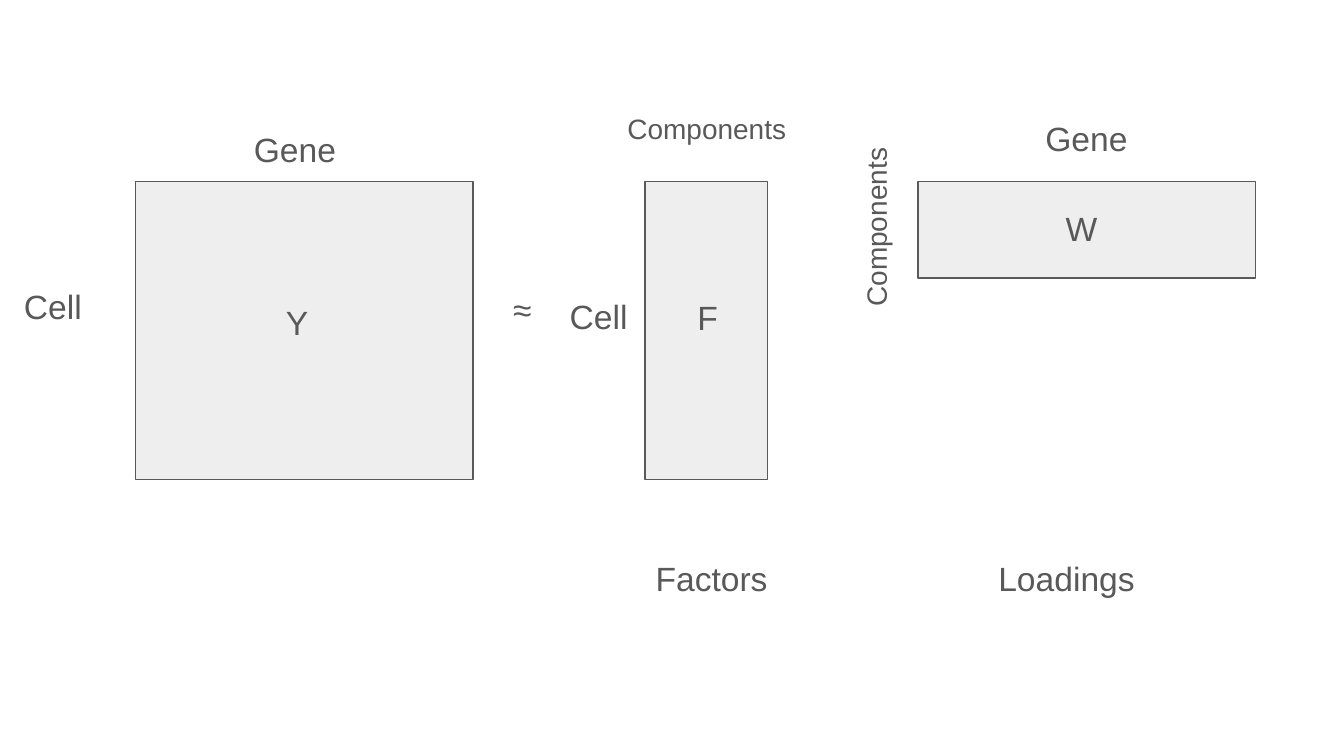
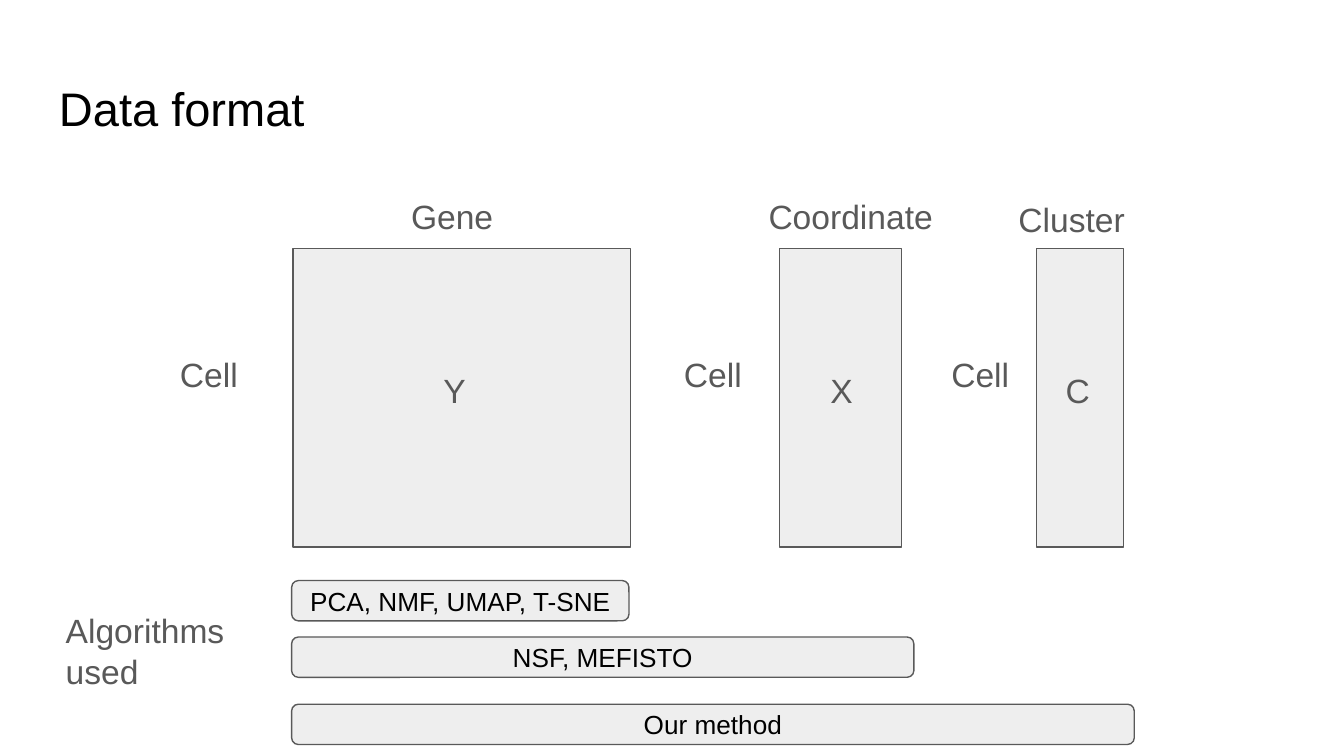
from dataclasses import dataclass

from pptx import Presentation
from pptx.dml.color import RGBColor
from pptx.enum import shapes, text
from pptx.util import Inches, Pt


@dataclass(frozen=True)
class Theme:
    font: str = "Arial"
    fill: RGBColor = RGBColor(0xEE, 0xEE, 0xEE)
    grey: RGBColor = RGBColor(0x59, 0x59, 0x59)
    black: RGBColor = RGBColor(0, 0, 0)
    title: float = 25.2
    label: float = 18
    small: float = 15
    bar: float = 14
    line: float = 0.75
    inset: float = 0.1


THEME = Theme()
SLIDE_W = 10
SLIDE_H = SLIDE_W * 9 / 16
MATRIX_H = 2.22
GENE_W, NARROW_W, CLUSTER_W = 2.51, 0.91, 0.65

# Matrices: left, width, height
FACTOR_TOP = 1.35
FACTOR_MATRICES = [
    (1.01, GENE_W, MATRIX_H),
    (4.8, NARROW_W, MATRIX_H),
    (6.83, GENE_W, 0.72),
]
DATA_TOP = 1.85
DATA_MATRICES = [
    (2.18, GENE_W, MATRIX_H),
    (5.8, NARROW_W, MATRIX_H),
    (7.71, CLUSTER_W, MATRIX_H),
]

# Labels: text, left, top, width, height
FACTOR_LABELS = [
    ("Y", 2.03, 2.15, 0.34, 0.42),
    ("Cell", 0.08, 2.03, 0.81, 0.42),
    ("Gene", 1.79, 0.86, 0.81, 0.42),
    ("≈", 3.72, 2.05, 0.45, 0.52),
    ("Factors", 4.78, 4.05, 1.11, 0.36),
    ("Loadings", 7.33, 4.05, 1.36, 0.36),
    ("F", 5.09, 2.11, 0.45, 0.52),
    ("W", 7.83, 1.45, 0.45, 0.52),
    ("Cell", 4.14, 2.1, 0.81, 0.42),
    ("Gene", 7.68, 0.78, 0.81, 0.42),
]
DATA_LABELS = [
    ("Y", 3.2, 2.65, 0.34, 0.42),
    ("X", 6.08, 2.65, 0.36, 0.49),
    ("C", 7.83, 2.65, 0.36, 0.49),
    ("Cell", 1.24, 2.53, 0.81, 0.42),
    ("Cell", 4.99, 2.53, 0.81, 0.42),
    ("Cell", 6.98, 2.53, 0.81, 0.42),
    ("Gene", 2.96, 1.36, 0.81, 0.42),
    ("Coordinate", 5.62, 1.36, 1.6, 0.42),
    ("Cluster", 7.48, 1.38, 1.04, 0.36),
    ("Algorithms\nused", 0.39, 4.44, 1.51, 0.66),
]

# Components labels: left, top, rotation
COMPONENTS = [(4.57, 0.73, 0), (5.78, 1.35, 270)]

# Algorithm bars: text, top, width
BAR_LEFT, BAR_H = 2.17, 0.3
BARS = [
    ("PCA, NMF, UMAP, T-SNE", 4.32, GENE_W),
    ("NSF, MEFISTO", 4.74, 4.63),
    ("Our method", 5.24, 6.27),
]


def write(sp, content, size, color, align=text.PP_ALIGN.LEFT,
          anchor=text.MSO_ANCHOR.TOP):
    tf = sp.text_frame
    tf.word_wrap = True
    tf.vertical_anchor = anchor
    tf.margin_left = tf.margin_right = Inches(THEME.inset)
    tf.margin_top = tf.margin_bottom = Inches(THEME.inset)
    tf.text = content
    for p in tf.paragraphs:
        p.alignment = align
        for r in p.runs:
            r.font.name = THEME.font
            r.font.size = Pt(size)
            r.font.color.rgb = color


def add_label(s, content, x, y, w, h, size=THEME.label, color=THEME.grey):
    sp = s.shapes.add_textbox(*map(Inches, (x, y, w, h)))
    write(sp, content, size, color)
    return sp


def add_box(s, kind, x, y, w, h):
    """Add a pale grey shape with a thin grey outline."""
    sp = s.shapes.add_shape(kind, *map(Inches, (x, y, w, h)))
    sp.shadow.inherit = False
    sp.fill.solid()
    sp.fill.fore_color.rgb = THEME.fill
    sp.line.color.rgb = THEME.grey
    sp.line.width = Pt(THEME.line)
    return sp


def add_matrix_slide(prs, top, matrices, labels):
    s = prs.slides.add_slide(prs.slide_layouts[6])
    for x, w, h in matrices:
        add_box(s, shapes.MSO_SHAPE.RECTANGLE, x, top, w, h)
    for label in labels:
        add_label(s, *label)
    return s


def add_factor_slide(prs):
    s = add_matrix_slide(prs, FACTOR_TOP, FACTOR_MATRICES, FACTOR_LABELS)
    for x, y, rotation in COMPONENTS:
        sp = add_label(s, "Components", x, y, 1.54, 0.52, THEME.small)
        sp.rotation = rotation


def add_data_slide(prs):
    s = add_matrix_slide(prs, DATA_TOP, DATA_MATRICES, DATA_LABELS)
    add_label(s, "Data format", 0.34, 0.49, 9.32, 0.63,
              THEME.title, THEME.black)
    for name, y, w in BARS:
        bar = add_box(s, shapes.MSO_SHAPE.ROUNDED_RECTANGLE,
                      BAR_LEFT, y, w, BAR_H)
        write(bar, name, THEME.bar, THEME.black,
              text.PP_ALIGN.CENTER, text.MSO_ANCHOR.MIDDLE)


def main():
    prs = Presentation()
    prs.slide_width, prs.slide_height = Inches(SLIDE_W), Inches(SLIDE_H)
    add_factor_slide(prs)
    add_data_slide(prs)
    prs.save("out.pptx")


if __name__ == "__main__":
    main()
